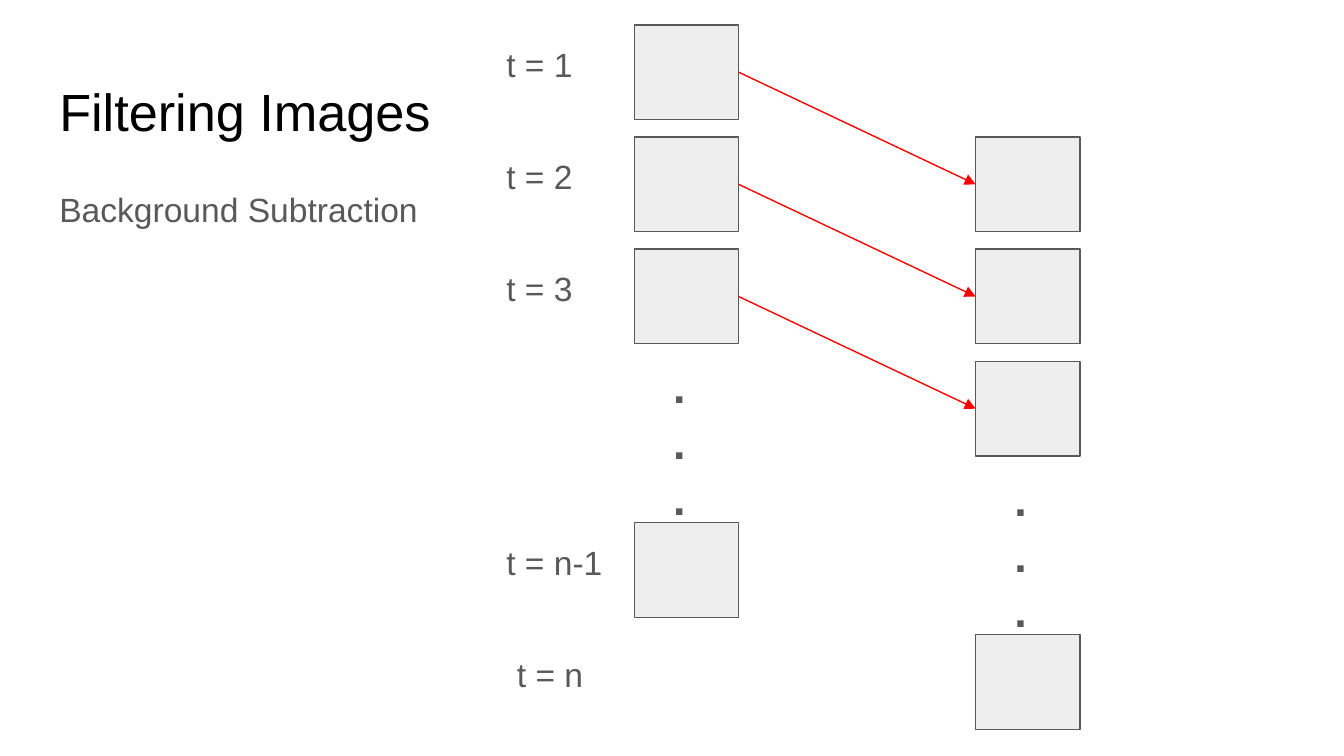
from lxml.etree import SubElement
from pptx import Presentation
from pptx.dml.color import RGBColor
from pptx.enum.shapes import MSO_CONNECTOR, MSO_SHAPE
from pptx.enum.text import MSO_ANCHOR, MSO_AUTO_SIZE, PP_ALIGN
from pptx.oxml.ns import qn
from pptx.util import Cm, Pt

GREY = "595959"
BOX_WIDTH, BOX_HEIGHT = 1.97, 1.79
ROW_PITCH = 2.12
FRAME_COUNT = 3
DOTS_OFFSET, LAST_OFFSET = 6.03, 9.41
LEFT_SITE, RIGHT_SITE = 1, 3


def color(hex_string):
    """Return the colour for a hex string."""
    return RGBColor.from_string(hex_string)


def place(shape, left, top, width, height):
    """Move and size a shape, in centimetres."""
    shape.left, shape.top = Cm(left), Cm(top)
    shape.width, shape.height = Cm(width), Cm(height)


def write(shape, lines, size, text_color=GREY, bold=False, spacing=1.0, after=0):
    """Fill a shape with plain, unbulleted paragraphs."""
    frame = shape.text_frame
    frame.word_wrap = True
    frame.auto_size = MSO_AUTO_SIZE.NONE
    frame.vertical_anchor = MSO_ANCHOR.TOP
    frame.margin_left = frame.margin_right = Cm(0.25)
    frame.margin_top = frame.margin_bottom = Cm(0.25)
    for index, line in enumerate(lines):
        paragraph = frame.add_paragraph() if index else frame.paragraphs[0]
        paragraph.alignment = PP_ALIGN.LEFT
        paragraph.line_spacing = spacing
        paragraph.space_before, paragraph.space_after = Pt(0), Pt(after)
        properties = paragraph._p.get_or_add_pPr()
        properties.set("marL", "0")
        properties.set("indent", "0")
        SubElement(properties, qn("a:buNone"))
        run = paragraph.add_run()
        run.text = line
        run.font.name, run.font.size, run.font.bold = "Arial", Pt(size), bold
        run.font.color.rgb = color(text_color)


def add_heading(slide, left, top, width):
    """Fill the title and body placeholders."""
    title, body = slide.shapes.title, slide.placeholders[1]
    place(title, left, top, width, 1.6)
    write(title, ["Filtering Images"], 28, "000000")
    place(body, left, top + 1.96, width, 9.5)
    write(body, ["Background Subtraction"], 18, spacing=1.15, after=16)


def add_frame(slide, left, top):
    """Draw one image frame and return it."""
    frame = slide.shapes.add_shape(
        MSO_SHAPE.RECTANGLE, Cm(left), Cm(top), Cm(BOX_WIDTH), Cm(BOX_HEIGHT))
    frame.shadow.inherit = False
    frame.fill.solid()
    frame.fill.fore_color.rgb = color("EEEEEE")
    frame.line.color.rgb = color(GREY)
    frame.line.width = Pt(0.75)
    return frame


def add_frame_column(slide, left, top):
    """Draw the first frames, the dots and the last frame; return the first ones."""
    frames = [add_frame(slide, left, top + row * ROW_PITCH) for row in range(FRAME_COUNT)]
    add_frame(slide, left, top + LAST_OFFSET)
    dots = slide.shapes.add_textbox(
        Cm(left + 0.48), Cm(top + DOTS_OFFSET), Cm(1.22), Cm(3.6))
    write(dots, ["."] * 3, 24, bold=True, spacing=1.04)
    return frames


def add_time_labels(slide, left, top):
    """Write the time step beside each row."""
    labels = [(f"t = {row + 1}", 0, row * ROW_PITCH, 2.16) for row in range(FRAME_COUNT)]
    labels += [("t = n-1", 0, LAST_OFFSET, 2.57),
               ("t = n", 0.2, LAST_OFFSET + ROW_PITCH, 2.16)]
    for text, shift, offset, width in labels:
        label = slide.shapes.add_textbox(
            Cm(left + shift), Cm(top + offset), Cm(width), Cm(BOX_HEIGHT))
        write(label, [text], 18, spacing=1.15, after=16)


def add_arrow(slide, source, target):
    """Link two frames with a red arrow."""
    arrow = slide.shapes.add_connector(MSO_CONNECTOR.STRAIGHT, 0, 0, 0, 0)
    arrow.begin_connect(source, RIGHT_SITE)
    arrow.end_connect(target, LEFT_SITE)
    arrow.line.color.rgb = color("FF0000")
    arrow.line.width = Pt(0.75)
    SubElement(arrow.line._get_or_add_ln(), qn("a:tailEnd"), type="triangle")
    SubElement(arrow._element.spPr, qn("a:effectLst"))


def main():
    """Build and save the slide."""
    presentation = Presentation()
    presentation.slide_width, presentation.slide_height = Cm(25.4), Cm(14.29)
    slide = presentation.slides.add_slide(presentation.slide_layouts[1])
    top = 0.47
    add_heading(slide, 0.87, 1.24, 23.67)
    current = add_frame_column(slide, 11.99, top)
    delayed = add_frame_column(slide, 18.44, top + ROW_PITCH)
    add_time_labels(slide, 9.32, top)
    for source, target in zip(current, delayed):
        add_arrow(slide, source, target)
    presentation.save("out.pptx")


if __name__ == "__main__":
    main()
